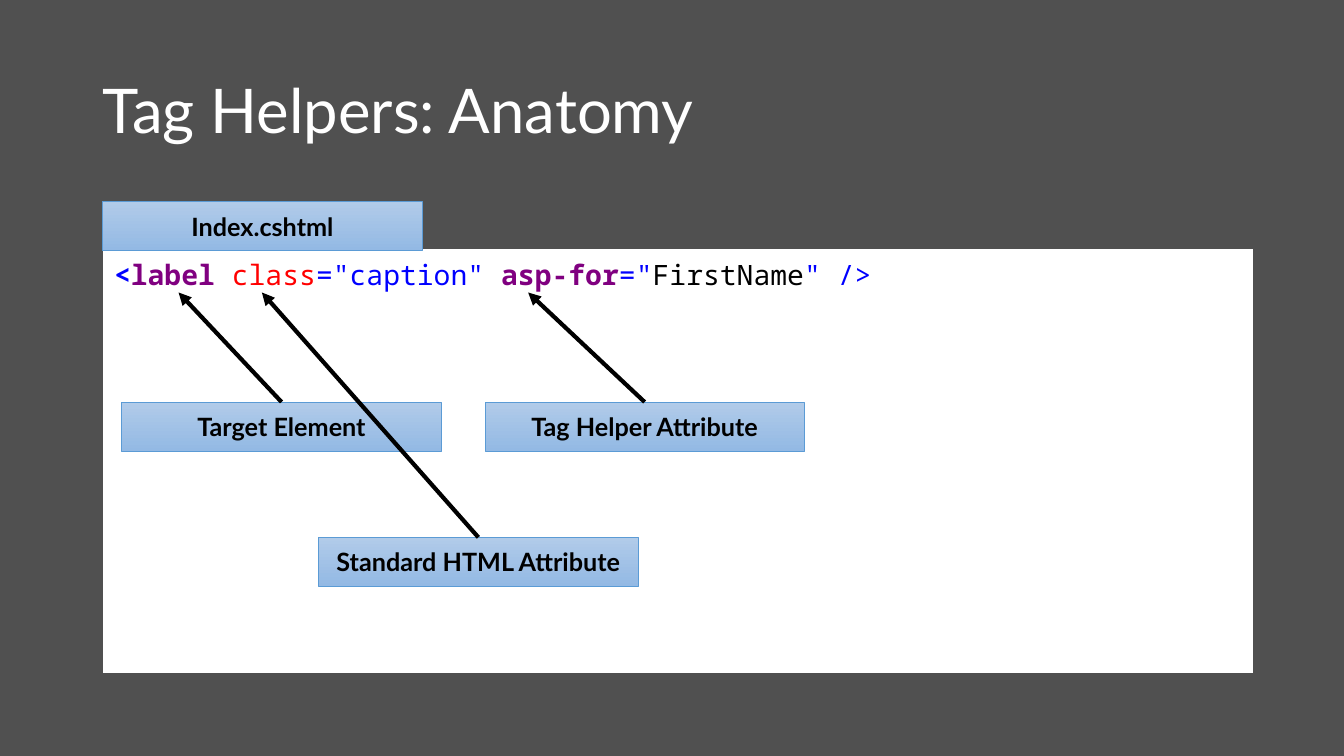
from lxml.etree import SubElement
from pptx import Presentation
from pptx.dml.color import RGBColor
from pptx.enum.shapes import MSO_CONNECTOR as Link, MSO_SHAPE as Shape
from pptx.enum.text import MSO_ANCHOR as Anchor, PP_ALIGN as Align
from pptx.oxml.ns import qn
from pptx.util import Cm, Pt

SANS, MONO = "Lato", "Noto Sans Mono"
BLUE, PURPLE, RED, BLACK, WHITE = "0000FF", "800080", "FF0000", "000000", "FFFFFF"
BOX_W, BOX_H = 8.05, 1.24

CODE = [
    ("<", BLUE, True),
    ("label ", PURPLE, True),
    ("class", RED, False),
    ('="caption" ', BLUE, False),
    ("asp-for", PURPLE, True),
    ('="', BLUE, False),
    ("FirstName", BLACK, False),
    ('" />', BLUE, False),
]

# text, left, top, x of the arrow tip
NOTES = [
    ("Target Element", 3.07, 10.13, 4.5),
    ("Tag Helper Attribute", 12.22, 10.13, 13.31),
    ("Standard HTML Attribute", 8.03, 13.54, 6.6),
]
TIP_Y = 7.37


def color(hex_):
    return RGBColor.from_string(hex_)


def style(font, name, size, hex_, bold=False):
    font.name, font.size, font.bold = name, Pt(size), bold
    font.color.rgb = color(hex_)


def add_title(slide, text):
    title = slide.shapes.title
    title.left, title.top = Cm(2.34), Cm(1.02)
    title.width, title.height = Cm(29.21), Cm(3.68)
    frame = title.text_frame
    frame.text = text
    frame.vertical_anchor = Anchor.MIDDLE
    para = frame.paragraphs[0]
    para.alignment, para.line_spacing = Align.LEFT, 0.9
    style(para.font, SANS, 44, WHITE)


def add_code(slide, parts):
    """Add the one-cell table that holds the coloured code."""
    frame = slide.shapes.add_table(1, 1, Cm(2.62), Cm(6.3), Cm(28.93), Cm(10.64))
    frame.table.first_row = False
    cell = frame.table.cell(0, 0)
    cell.fill.solid()
    cell.fill.fore_color.rgb = color(WHITE)
    para = cell.text_frame.paragraphs[0]
    for text, hex_, bold in parts:
        run = para.add_run()
        run.text = text
        style(run.font, MONO, 20, hex_, bold)


def add_box(slide, text, left, top):
    box = slide.shapes.add_shape(
        Shape.RECTANGLE, Cm(left), Cm(top), Cm(BOX_W), Cm(BOX_H))
    box.shadow.inherit = False
    box.fill.gradient()
    box.fill.gradient_angle = 270
    for stop, hex_ in zip(box.fill.gradient_stops, ("B1CBE9", "93B9E4")):
        stop.color.rgb = color(hex_)
    box.line.color.rgb = color("5B9BD5")
    box.line.width = Pt(0.5)
    frame = box.text_frame
    frame.text = text
    frame.vertical_anchor = Anchor.MIDDLE
    para = frame.paragraphs[0]
    para.alignment = Align.CENTER
    style(para.font, SANS, 18, BLACK, True)


def add_arrow(slide, x1, y1, x2, y2):
    arrow = slide.shapes.add_connector(
        Link.STRAIGHT, Cm(x1), Cm(y1), Cm(x2), Cm(y2))
    arrow.line.color.rgb = color(BLACK)
    arrow.line.width = Pt(3)
    props = arrow.element.spPr
    SubElement(props.find(qn("a:ln")), qn("a:tailEnd"), type="triangle")
    SubElement(props, qn("a:effectLst"))


def main():
    deck = Presentation()
    deck.slide_width, deck.slide_height = Cm(33.87), Cm(19.05)
    slide = deck.slides.add_slide(deck.slide_layouts[5])
    back = slide.background.fill
    back.solid()
    back.fore_color.rgb = color("505050")

    add_title(slide, "Tag Helpers: Anatomy")
    add_code(slide, CODE)
    add_box(slide, "Index.cshtml", 2.59, 5.08)
    for text, left, top, tip in NOTES:
        add_box(slide, text, left, top)
        add_arrow(slide, left + BOX_W / 2, top, tip, TIP_Y)
    deck.save("out.pptx")


if __name__ == "__main__":
    main()
